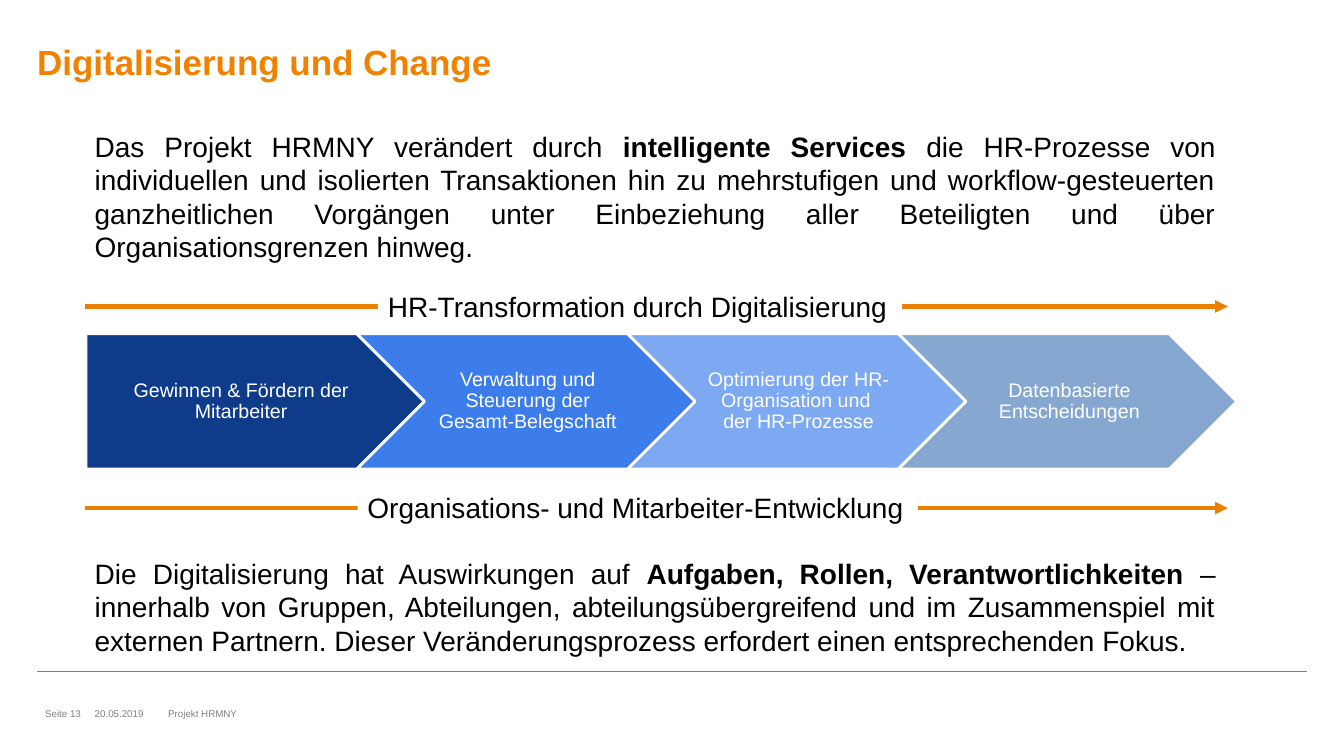
"""Build the slide on digitalisation and change in HR."""
import pptx
import pptx.dml.color
import pptx.enum.shapes
import pptx.enum.text
import pptx.oxml
import pptx.oxml.ns
import pptx.util
from dataclasses import dataclass

Pt = pptx.util.Pt
Rgb = pptx.dml.color.RGBColor.from_string
Shape = pptx.enum.shapes.MSO_SHAPE
Line = pptx.enum.shapes.MSO_CONNECTOR.STRAIGHT
Align = pptx.enum.text.PP_ALIGN
Anchor = pptx.enum.text.MSO_ANCHOR
AutoSize = pptx.enum.text.MSO_AUTO_SIZE


@dataclass(frozen=True)
class Theme:
    font: str = "Arial"
    title: str = "F08200"
    arrow: str = "EB7F00"
    text: str = "000000"
    white: str = "FFFFFF"
    grey: str = "808080"
    stages: tuple = ("0E3C8A", "3C7DEB", "7DA8F2", "86A8D0")
    title_size: int = 25
    body_size: int = 20
    stage_size: int = 14
    footer_size: int = 7


theme = Theme()


def write(box, spans, size, color, frame_format, para_format):
    frame = box.text_frame
    for name, value in frame_format.items():
        setattr(frame, name, value)
    para = frame.paragraphs[0]
    for name, value in para_format.items():
        setattr(para, name, value)
    for words, bold in spans:
        for number, line in enumerate(words.split("\n")):
            if number:
                para.add_line_break()
            span = para.add_run()
            span.text = line
            font_format = {"name": theme.font, "size": Pt(size), "bold": bold}
            for name, value in font_format.items():
                setattr(span.font, name, value)
            span.font.color.rgb = Rgb(color)


def draw_line(left, right, y, color, width):
    line = page.shapes.add_connector(Line, Pt(left), Pt(y), Pt(right), Pt(y))
    line.line.color.rgb = Rgb(color)
    line.line.width = Pt(width)
    properties = line._element.spPr
    properties.append(pptx.oxml.parse_xml(f"<a:effectLst {pptx.oxml.ns.nsdecls('a')}/>"))
    return line


deck = pptx.Presentation()
deck.slide_width, deck.slide_height = Pt(960), Pt(540)
page = deck.slides.add_slide(deck.slide_layouts[6])

no_margins = {"margin_left": 0, "margin_top": 0, "margin_right": 0, "margin_bottom": 0}
draw_line(26.6, 933.8, 479.5, theme.grey, 0.5)
title = page.shapes.add_textbox(Pt(26.6), Pt(28.8), Pt(907.2), Pt(73.4))
write(title, [("Digitalisierung und Change", True)], theme.title_size, theme.title,
      {"word_wrap": True, **no_margins}, {})

stages = [
    "Gewinnen & Fördern der Mitarbeiter",
    "Verwaltung und Steuerung der Gesamt-Belegschaft",
    "Optimierung der HR-Organisation und \nder HR-Prozesse",
    "Datenbasierte Entscheidungen",
]
stage_width = 241.8
stage_height = 0.4 * stage_width
for number, (words, fill) in enumerate(zip(stages, theme.stages)):
    outline = Shape.CHEVRON if number else Shape.PENTAGON
    stage = page.shapes.add_shape(outline, Pt(61.4 + number * 0.8 * stage_width), Pt(238.4),
                                  Pt(stage_width), Pt(stage_height))
    stage.shadow.inherit = False
    stage.fill.solid()
    stage.fill.fore_color.rgb = Rgb(fill)
    stage.line.color.rgb = Rgb(theme.white)
    stage.line.width = Pt(2)
    write(stage, [(words, False)], theme.stage_size, theme.white,
          {"word_wrap": True, "vertical_anchor": Anchor.MIDDLE,
           "margin_left": Pt(4 if number else 5.6), "margin_right": Pt(1.4),
           "margin_top": Pt(2.8), "margin_bottom": Pt(2.8)},
          {"alignment": Align.CENTER, "line_spacing": 0.9})

bands = [
    ("HR-Transformation durch Digitalisierung", 270, 374.4, 218.9),
    ("Organisations- und Mitarbeiter-Entwicklung", 255.4, 400.3, 362.9),
]
for words, left, width, y in bands:
    arrow = draw_line(60.5, 877, y, theme.arrow, 3)
    arrow.line._get_or_add_ln().append(
        pptx.oxml.parse_xml(f'<a:tailEnd {pptx.oxml.ns.nsdecls("a")} type="triangle"/>'))
    label = page.shapes.add_shape(Shape.RECTANGLE, Pt(left), Pt(y - 16), Pt(width), Pt(31.5))
    label.shadow.inherit = False
    label.fill.solid()
    label.fill.fore_color.rgb = Rgb(theme.white)
    label.line.fill.background()
    write(label, [(words, False)], theme.body_size, theme.text,
          {"word_wrap": False, "auto_size": AutoSize.SHAPE_TO_FIT_TEXT,
           "vertical_anchor": Anchor.TOP},
          {"alignment": Align.LEFT})

statements = [
    (88.6, 104.4, [
        ("Das Projekt HRMNY verändert durch ", False),
        ("intelligente Services ", True),
        ("die HR-Prozesse von individuellen und isolierten Transaktionen hin zu "
         "mehrstufigen und workflow-gesteuerten ganzheitlichen Vorgängen unter "
         "Einbeziehung aller Beteiligten und über Organisationsgrenzen hinweg. ", False),
    ]),
    (393.8, 79.9, [
        ("Die Digitalisierung hat Auswirkungen auf ", False),
        ("Aufgaben, Rollen, Verantwortlichkeiten ", True),
        ("– innerhalb von Gruppen, Abteilungen, abteilungsübergreifend und im "
         "Zusammenspiel mit externen Partnern. Dieser Veränderungsprozess erfordert "
         "einen entsprechenden Fokus.", False),
    ]),
]
for top, height, spans in statements:
    statement = page.shapes.add_textbox(Pt(60.5), Pt(top), Pt(815), Pt(height))
    write(statement, spans, theme.body_size, theme.text,
          {"word_wrap": True, "auto_size": AutoSize.SHAPE_TO_FIT_TEXT},
          {"alignment": Align.JUSTIFY})

footers = [
    ("Seite 13", 25.2, 39.6, Align.CENTER),
    ("20.05.2019", 67.7, 43.2, Align.LEFT),
    ("Projekt HRMNY", 120.2, 583.2, Align.LEFT),
]
for words, left, width, alignment in footers:
    footer = page.shapes.add_textbox(Pt(left), Pt(504), Pt(width), Pt(11.5))
    write(footer, [(words, False)], theme.footer_size, theme.grey,
          {"word_wrap": True, "vertical_anchor": Anchor.MIDDLE, **no_margins},
          {"alignment": alignment})

deck.save("out.pptx")
